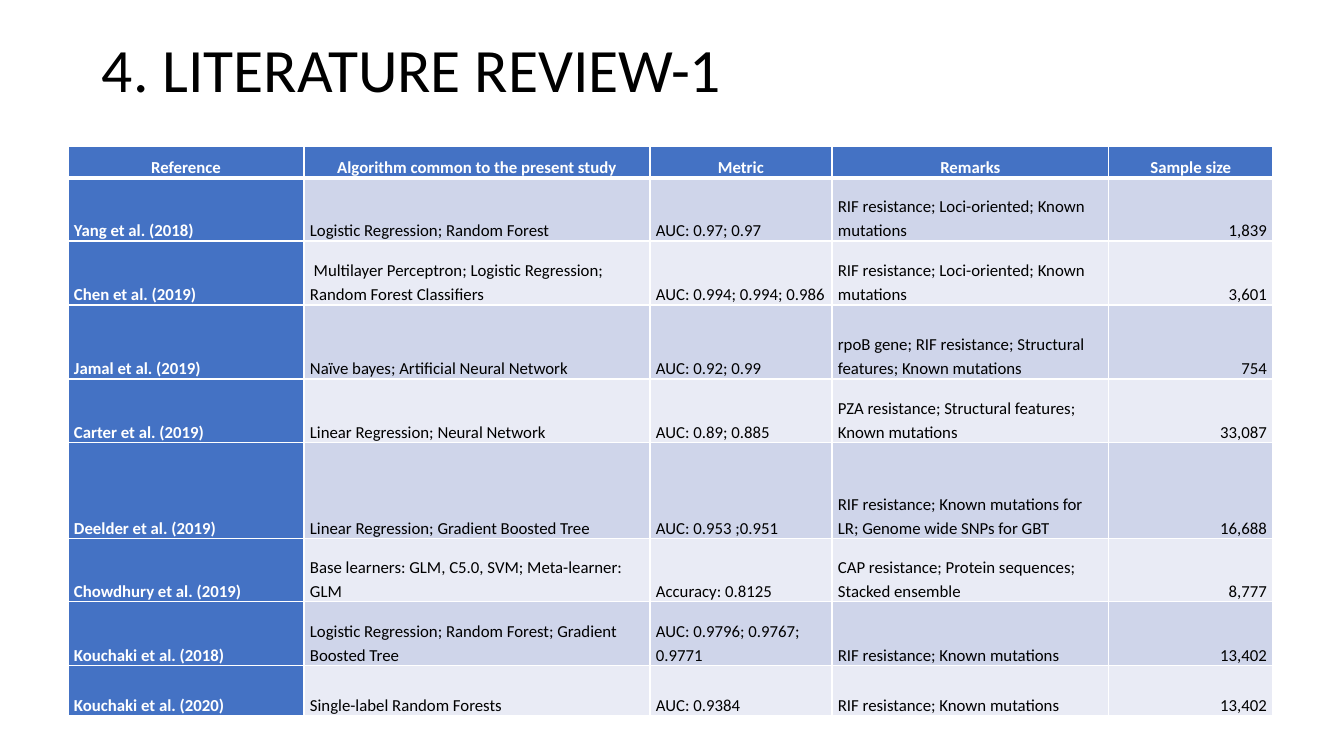
import lxml.etree
import pptx
import pptx.dml.color
import pptx.enum.text
import pptx.oxml.ns
import pptx.util

RGB = pptx.dml.color.RGBColor
ALIGN = pptx.enum.text.PP_ALIGN
ANCHOR = pptx.enum.text.MSO_ANCHOR

TITLE = "4. LITERATURE REVIEW-1"
HEADINGS = ("Reference", "Algorithm common to the present study", "Metric",
            "Remarks", "Sample size")
STUDIES = [
    ("Yang et al. (2018)", "Logistic Regression; Random Forest",
     "AUC: 0.97; 0.97", "RIF resistance; Loci-oriented; Known mutations", "1,839"),
    ("Chen et al. (2019)",
     " Multilayer Perceptron; Logistic Regression; Random Forest Classifiers",
     "AUC: 0.994; 0.994; 0.986",
     "RIF resistance; Loci-oriented; Known mutations", "3,601"),
    ("Jamal et al. (2019)", "Naïve bayes; Artificial Neural Network",
     "AUC: 0.92; 0.99",
     "rpoB gene; RIF resistance; Structural features; Known mutations", "754"),
    ("Carter et al. (2019)", "Linear Regression; Neural Network",
     "AUC: 0.89; 0.885",
     "PZA resistance; Structural features; Known mutations", "33,087"),
    ("Deelder et al. (2019)", "Linear Regression; Gradient Boosted Tree",
     "AUC: 0.953 ;0.951",
     "RIF resistance; Known mutations for LR; Genome wide SNPs for GBT", "16,688"),
    ("Chowdhury et al. (2019)", "Base learners: GLM, C5.0, SVM; Meta-learner: GLM",
     "Accuracy: 0.8125",
     "CAP resistance; Protein sequences; Stacked ensemble", "8,777"),
    ("Kouchaki et al. (2018)",
     "Logistic Regression; Random Forest; Gradient Boosted Tree",
     "AUC: 0.9796; 0.9767; 0.9771", "RIF resistance; Known mutations", "13,402"),
    ("Kouchaki et al. (2020)", "Single-label Random Forests",
     "AUC: 0.9384", "RIF resistance; Known mutations", "13,402"),
]

# Lengths in px, 100.8 to the inch
SLIDE_SIZE = (1344, 756)
TITLE_BOX = (92, 0, 1159, 146)
REVIEW_ORIGIN = (68, 146)
COLUMN_WIDTHS = (236, 346, 182, 277, 164)
ROW_HEIGHTS = (32, 63, 64, 74, 64, 96, 63, 64, 50)
CELL_MARGIN = 6

FONT = "Calibri"
BLACK = RGB(0x00, 0x00, 0x00)
WHITE = RGB(0xFF, 0xFF, 0xFF)
HEADING_BLUE = RGB(0x44, 0x72, 0xC4)
BANDS = (RGB(0xE9, 0xEB, 0xF5), RGB(0xCF, 0xD5, 0xEA))


def px(length):
    return pptx.util.Emu(round(length * 914400 / 100.8))


def write(frame, text, size=12, color=BLACK, bold=False, align=ALIGN.LEFT,
          spacing=1.15):
    frame.word_wrap = True
    paragraph = frame.paragraphs[0]
    paragraph.alignment = align
    paragraph.line_spacing = spacing
    run = paragraph.add_run()
    run.text = text
    run.font.name = FONT
    run.font.size = pptx.util.Pt(size)
    run.font.bold = bold
    run.font.color.rgb = color


def add_borders(cell, bottom_width):
    """Draw white cell edges, 1 pt wide except for the given bottom width."""
    qn = pptx.oxml.ns.qn
    properties = cell._tc.get_or_add_tcPr()
    edges = (("a:lnL", 1), ("a:lnR", 1), ("a:lnT", 1), ("a:lnB", bottom_width))
    for position, (edge, width) in enumerate(edges):
        line = lxml.etree.Element(qn(edge), w=str(pptx.util.Pt(width)))
        solid = lxml.etree.SubElement(line, qn("a:solidFill"))
        lxml.etree.SubElement(solid, qn("a:srgbClr"), val=str(WHITE))
        properties.insert(position, line)


def add_title(slide):
    title = slide.shapes.add_textbox(*map(px, TITLE_BOX))
    title.text_frame.vertical_anchor = ANCHOR.MIDDLE
    write(title.text_frame, TITLE, size=44, spacing=0.9)


def add_review(slide):
    rows = [HEADINGS] + STUDIES
    extent = (*REVIEW_ORIGIN, sum(COLUMN_WIDTHS), sum(ROW_HEIGHTS))
    review = slide.shapes.add_table(
        len(rows), len(HEADINGS), *map(px, extent)).table
    review.first_col = True
    for column, width in zip(review.columns, COLUMN_WIDTHS):
        column.width = px(width)
    for row, height in zip(review.rows, ROW_HEIGHTS):
        row.height = px(height)

    for r, entries in enumerate(rows):
        for c, entry in enumerate(entries):
            cell = review.cell(r, c)
            heading = r == 0 or c == 0
            cell.margin_left = cell.margin_right = px(CELL_MARGIN)
            cell.margin_top = cell.margin_bottom = 0
            cell.vertical_anchor = ANCHOR.BOTTOM
            cell.fill.solid()
            cell.fill.fore_color.rgb = HEADING_BLUE if heading else BANDS[r % 2]
            add_borders(cell, bottom_width=3 if r == 0 else 1)
            if r == 0:
                align = ALIGN.CENTER
            elif c == len(HEADINGS) - 1:
                align = ALIGN.RIGHT
            else:
                align = ALIGN.LEFT
            write(cell.text_frame, entry, align=align, bold=heading,
                  color=WHITE if heading else BLACK)


def main():
    presentation = pptx.Presentation()
    presentation.slide_width, presentation.slide_height = map(px, SLIDE_SIZE)
    slide = presentation.slides.add_slide(presentation.slide_layouts[6])
    add_title(slide)
    add_review(slide)
    presentation.save("out.pptx")


if __name__ == "__main__":
    main()
